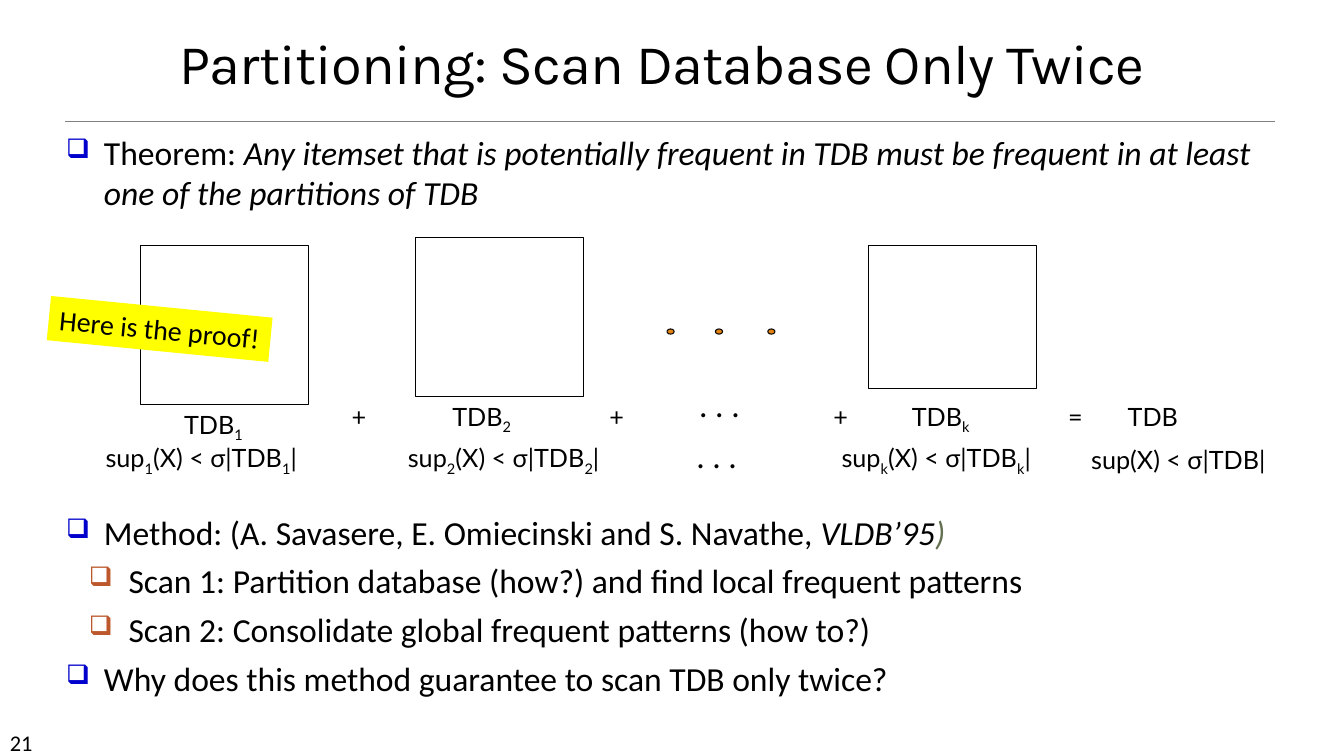
from dataclasses import dataclass

from lxml.etree import SubElement
from pptx import Presentation
from pptx.dml.color import RGBColor
from pptx.enum.shapes import MSO_CONNECTOR, MSO_SHAPE
from pptx.enum.text import MSO_ANCHOR, PP_ALIGN
from pptx.oxml.ns import qn
from pptx.util import Cm, Pt


@dataclass(frozen=True)
class Theme:
    ink: str = "000000"
    rule: str = "808080"
    bullet: str = "0000CC"
    sub_bullet: str = "BD582C"
    bracket: str = "637052"
    dot: str = "E48312"
    note: str = "FFFF00"
    title_font: str = "Karla"
    body_font: str = "Calibri"
    label_font: str = "Lato"
    title_size: int = 40
    body_size: int = 24
    note_size: int = 20
    label_size: int = 18
    number_size: int = 16


@dataclass(frozen=True)
class Box:
    left: float
    top: float
    width: float
    height: float

    def inner(self, left, top, width, height):
        return Box(self.left + left, self.top + top, width, height)

    def lengths(self):
        return Cm(self.left), Cm(self.top), Cm(self.width), Cm(self.height)


THEME = Theme()


def color(value):
    return RGBColor.from_string(value)


def add_span(para, text, font, size, ink=THEME.ink, italic=False, subscript=False):
    span = para.add_run()
    span.text = text
    span.font.name = font
    span.font.size = Pt(size)
    span.font.color.rgb = color(ink)
    span.font.italic = italic
    if subscript:
        span.font._element.set("baseline", "-25000")
    return span


def add_text_box(page, box):
    frame = page.shapes.add_textbox(*box.lengths()).text_frame
    frame.word_wrap = True
    return frame


def add_outline(page, kind, box, fill=None, line=THEME.ink):
    shape = page.shapes.add_shape(kind, *box.lengths())
    shape.shadow.inherit = False
    if fill:
        shape.fill.solid()
        shape.fill.fore_color.rgb = color(fill)
    else:
        shape.fill.background()
    if line:
        shape.line.color.rgb = color(line)
        shape.line.width = Pt(0.75)
    else:
        shape.line.fill.background()
    return shape


def add_label(page, box, *parts, font=THEME.label_font, size=THEME.label_size):
    para = add_text_box(page, box).paragraphs[0]
    for position, text in enumerate(parts):
        add_span(para, text, font, size, subscript=position % 2 == 1)


def set_bullet(para, ink, margin, hanging):
    properties = para._p.get_or_add_pPr()
    properties.set("marL", str(Cm(margin)))
    properties.set("indent", str(-Cm(hanging)))
    bullet_color = SubElement(properties, qn("a:buClr"))
    SubElement(bullet_color, qn("a:srgbClr")).set("val", ink)
    SubElement(properties, qn("a:buSzPct")).set("val", "80000")
    SubElement(properties, qn("a:buChar")).set("char", "❑")


def draw_header(page, box):
    frame = add_text_box(page, box.inner(0.61, 0, 28.85, 1.7))
    frame.vertical_anchor = MSO_ANCHOR.BOTTOM
    para = frame.paragraphs[0]
    para.alignment = PP_ALIGN.CENTER
    para.line_spacing = 0.85
    span = add_span(para, "Partitioning: Scan Database Only Twice",
                    THEME.title_font, THEME.title_size)
    span.font._element.set("spc", "-50")
    bottom = Cm(box.top + box.height)
    rule = page.shapes.add_connector(
        MSO_CONNECTOR.STRAIGHT, Cm(box.left), bottom, Cm(box.left + box.width), bottom)
    rule.line.color.rgb = color(THEME.rule)
    rule.line.width = Pt(0.5)
    SubElement(rule._element.spPr, qn("a:effectLst"))


def draw_body(page, box):
    main = (THEME.bullet, 0.95, 0.95)
    sub = (THEME.sub_bullet, 1.57, 1)
    diagram_gap = 213.5
    items = [
        (main, 6, [("Theorem: ", {}),
                   ("Any itemset that is potentially frequent in TDB must be frequent "
                    "in at least one of the partitions of TDB", {"italic": True})]),
        (main, diagram_gap, [("Method: (A. Savasere, E. Omiecinski and S. Navathe, ", {}),
                             ("VLDB’95", {"italic": True}),
                             (")", {"italic": True, "ink": THEME.bracket})]),
        (sub, 6, [("Scan 1: Partition database (how?) and find local frequent patterns", {})]),
        (sub, 6, [("Scan 2: Consolidate global frequent patterns (how to?)", {})]),
        (main, 6, [("Why does this method guarantee to scan TDB only twice?", {})]),
    ]
    frame = add_text_box(page, box)
    for position, (bullet, gap, spans) in enumerate(items):
        para = frame.add_paragraph() if position else frame.paragraphs[0]
        para.space_before = Pt(gap)
        set_bullet(para, *bullet)
        for text, style in spans:
            add_span(para, text, THEME.body_font, THEME.body_size, **style)


def draw_partitions(page, box):
    partitions = [
        ("1", 2.53, 0.2, 4.01, 3.39, 4.21, 1.41),
        ("2", 9.46, 0, 4.01, 10.15, 4.01, 9.03),
        ("k", 20.89, 0.2, 3.61, 21.73, 4.01, 19.96),
    ]
    for index, left, top, height, name_left, name_top, support_left in partitions:
        add_outline(page, MSO_SHAPE.RECTANGLE, box.inner(left, top, 4.24, height))
        add_label(page, box.inner(name_left, name_top, 2.8, 1), "TDB", index)
        add_label(page, box.inner(support_left, 5.05, 6.5, 1),
                  "sup", index, "(X) < σ|TDB", index, "|")

    for left in (15.81, 17.03, 18.35):
        add_outline(page, MSO_SHAPE.OVAL, box.inner(left, 2.31, 0.18, 0.13), THEME.dot)
    for left, top in ((16.37, 3.58), (16.3, 4.85)):
        add_label(page, box.inner(left, top, 2.26, 1.3), ". . .",
                  font=THEME.body_font, size=THEME.body_size)

    for sign, left in (("+", 7.61), ("+", 14.11), ("+", 19.75), ("=", 25.67)):
        add_label(page, box.inner(left, 4.01, 1, 1), sign)
    add_label(page, box.inner(27.17, 4.01, 2.8, 1), "TDB")
    add_label(page, box.inner(26.25, 5.1, 6.2, 1), "sup(X) < σ|TDB|")

    note = add_outline(page, MSO_SHAPE.RECTANGLE, box.inner(0.22, 1.75, 5.61, 1.12),
                       THEME.note, None)
    note.rotation = 5.6
    note.text_frame.word_wrap = False
    para = note.text_frame.paragraphs[0]
    para.alignment = PP_ALIGN.CENTER
    add_span(para, "Here is the proof!", THEME.body_font, THEME.note_size)


def draw_page_number(page, box):
    add_label(page, box, "21", font=THEME.body_font, size=THEME.number_size)


def main():
    deck = Presentation()
    deck.slide_width = Cm(33.87)
    deck.slide_height = Cm(19.05)
    page = deck.slides.add_slide(deck.slide_layouts[6])
    draw_header(page, Box(1.65, 0.84, 30.48, 2.22))
    draw_page_number(page, Box(0, 18.24, 2.97, 0.76))
    draw_body(page, Box(1.42, 3.2, 31.32, 14.9))
    draw_partitions(page, Box(1, 5.98, 31.87, 6.2))
    deck.save("out.pptx")


if __name__ == "__main__":
    main()
